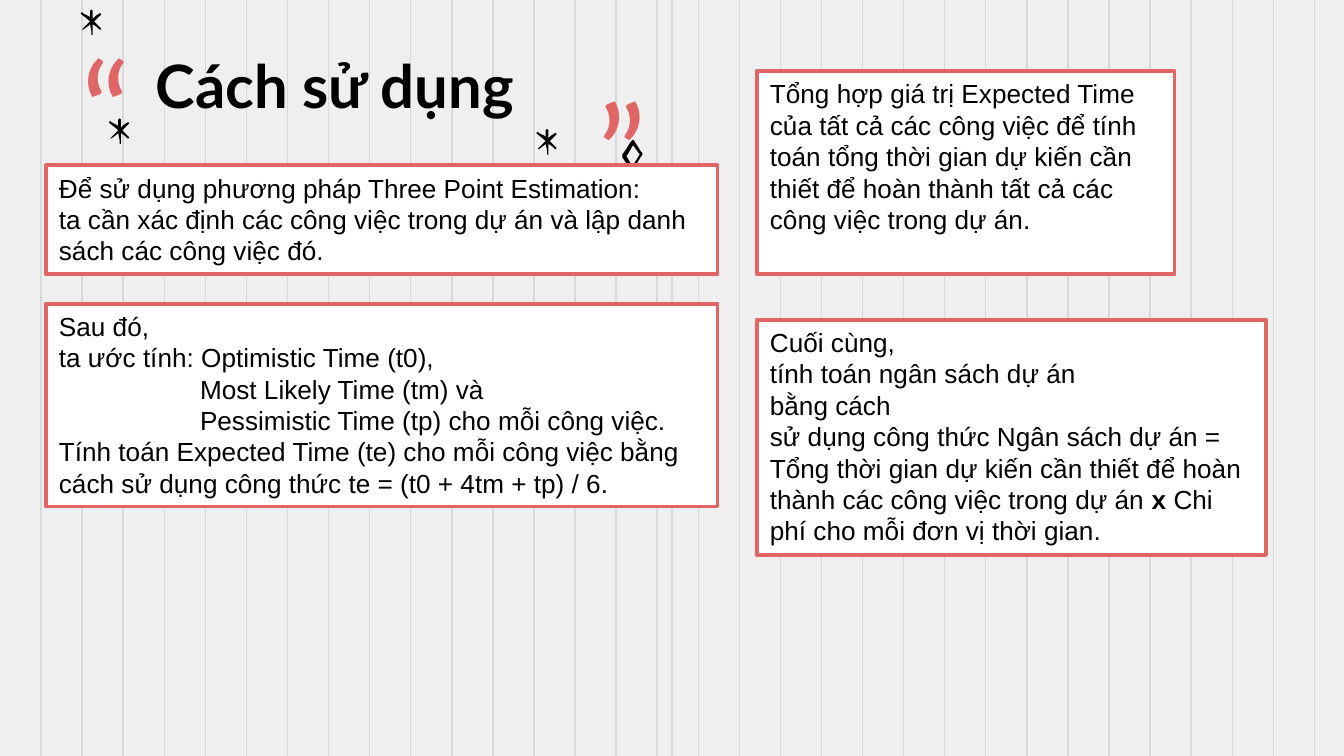
from lxml import etree
from pptx import Presentation
from pptx.dml.color import RGBColor
from pptx.enum.shapes import MSO_CONNECTOR, MSO_SHAPE
from pptx.enum.text import MSO_ANCHOR, MSO_AUTO_SIZE, PP_ALIGN
from pptx.oxml.ns import qn
from pptx.util import Inches, Pt

LINE, RECT = MSO_CONNECTOR.STRAIGHT, MSO_SHAPE.RECTANGLE
TOP, FIXED = MSO_ANCHOR.TOP, MSO_AUTO_SIZE.NONE
LEFT, CENTER = PP_ALIGN.LEFT, PP_ALIGN.CENTER


class Theme:
    back = RGBColor.from_string("EFEFEF")
    rule = RGBColor.from_string("D9D9D9")
    ink = RGBColor.from_string("000000")
    paper = RGBColor.from_string("FFFFFF")
    coral = RGBColor.from_string("E06666")
    head, body = "Lato", "Arial"
    title, text, quote = Pt(32), Pt(14), Pt(72)
    thin, edge = Pt(0.75), Pt(2)


def set_frame(shape, side, align, lines, name, size, color, bold=False):
    """Fill a shape with paragraphs of one style."""
    frame = shape.text_frame
    frame.word_wrap, frame.auto_size = True, FIXED
    frame.vertical_anchor = TOP
    frame.margin_left = frame.margin_right = Inches(0.1)
    frame.margin_top = frame.margin_bottom = Inches(side)
    frame.text = "\n".join(lines)
    for para in frame.paragraphs:
        para.alignment = align
        for run in para.runs:
            font = run.font
            font.name, font.size, font.bold = name, size, bold
            font.color.rgb = color
    return frame


def add_mark(spot, paths):
    """Draw closed outlines, given in hundredths of an inch."""
    build = slide.shapes.build_freeform(*paths[0][0], scale=Inches(0.01))
    build.add_line_segments(paths[0][1:], close=True)
    for path in paths[1:]:
        build.move_to(*path[0])
        build.add_line_segments(path[1:], close=True)
    mark = build.convert_to_shape(Inches(spot[0]), Inches(spot[1]))
    mark.shadow.inherit = False
    mark.fill.solid()
    mark.fill.fore_color.rgb = Theme.ink
    mark.line.fill.background()


# Wide page, 16 to 9
deck = Presentation()
deck.slide_width = Inches(10)
deck.slide_height = deck.slide_width * 9 // 16
slide = deck.slides.add_slide(deck.slide_layouts[5])
slide.background.fill.solid()
slide.background.fill.fore_color.rgb = Theme.back

# Ruled paper: 32 even lines and one in the centre
for x in [9.78 * i / 32 for i in range(1, 33)] + [5]:
    rule = slide.shapes.add_connector(
        LINE, Inches(x), Inches(0), Inches(x), deck.slide_height)
    rule.line.color.rgb, rule.line.width = Theme.rule, Theme.thin
    etree.SubElement(rule.element.spPr, qn("a:effectLst"))

# Quote marks
for sign, x, y in [("“", -0.33, 0.1), ("”", 3.51, 0.42)]:
    box = slide.shapes.add_textbox(
        Inches(x), Inches(y), Inches(2.24), Inches(0.63))
    set_frame(box, 0.1, CENTER, [sign], Theme.head, Theme.quote, Theme.coral)

# Diamond and stars
outer = [(8, 0), (6, 2), (3, 7), (0, 11), (0, 13), (4, 19), (5, 21), (7, 23),
         (9, 21), (13, 14), (15, 11), (15, 10), (14, 9), (9, 1)]
inner = [(8, 4), (13, 11), (8, 19), (7, 19), (3, 12), (4, 11)]
star = [(8, 0), (7, 1), (7, 6), (6, 5), (2, 3), (1, 2), (0, 3), (1, 4),
        (6, 8), (7, 9), (2, 14), (1, 15), (2, 15), (6, 12), (7, 11), (8, 16),
        (8, 19), (9, 19), (9, 11), (12, 13), (14, 15), (15, 15), (15, 14),
        (13, 12), (10, 9), (13, 6), (15, 4), (15, 3), (14, 3), (11, 5),
        (9, 7), (9, 1)]
add_mark((4.63, 1.04), [outer, inner])
for spot in [(0.81, 0.88), (3.99, 0.96), (0.6, 0.07)]:
    add_mark(spot, [star])

# Title, raised above the ruled lines
title = slide.shapes.title
title.left, title.top = Inches(1.06), Inches(0.26)
title.width, title.height = Inches(4.18), Inches(0.63)
set_frame(title, 0.1, LEFT, ["Cách sử dụng"], Theme.head, Theme.title,
          Theme.ink, True)
title.element.getparent().append(title.element)

# Step cards: place, then lines
cards = [
    ((0.34, 1.23, 5, 0.81), [
        "Để sử dụng phương pháp Three Point Estimation:",
        "ta cần xác định các công việc trong dự án và lập danh sách các "
        "công việc đó."]),
    ((0.34, 2.26, 5, 1.51), [
        "Sau đó,",
        "ta ước tính: Optimistic Time (t0),",
        "Most Likely Time (tm) và",
        "Pessimistic Time (tp) cho mỗi công việc.",
        "Tính toán Expected Time (te) cho mỗi công việc bằng cách sử dụng "
        "công thức te = (t0 + 4tm + tp) / 6."]),
    ((5.63, 0.53, 3.11, 1.51), [
        "Tổng hợp giá trị Expected Time của tất cả các công việc để tính "
        "toán tổng thời gian dự kiến cần thiết để hoàn thành tất cả các "
        "công việc trong dự án."]),
    ((5.63, 2.38, 3.79, 1.75), [
        "Cuối cùng,",
        "tính toán ngân sách dự án",
        "bằng cách",
        "sử dụng công thức Ngân sách dự án = Tổng thời gian dự kiến cần "
        "thiết để hoàn thành các công việc trong dự án "]),
]
frames = []
for place, lines in cards:
    card = slide.shapes.add_shape(RECT, *[Inches(n) for n in place])
    card.shadow.inherit = False
    card.fill.solid()
    card.fill.fore_color.rgb = Theme.paper
    card.line.color.rgb, card.line.width = Theme.coral, Theme.edge
    frames.append(set_frame(card, 0.05, LEFT, lines, Theme.body, Theme.text,
                            Theme.ink))

# Indent the time estimates under the first one
for para in frames[1].paragraphs[2:4]:
    props = para._p.get_or_add_pPr()
    props.set("marL", str(Inches(1.05)))
    props.set("indent", "0")

# End of the budget formula, with a bold times sign
for text, bold in [("x ", True), ("Chi phí cho mỗi đơn vị thời gian.", False)]:
    run = frames[3].paragraphs[-1].add_run()
    run.text = text
    run.font.name, run.font.size, run.font.bold = Theme.body, Theme.text, bold
    run.font.color.rgb = Theme.ink

deck.save("out.pptx")
